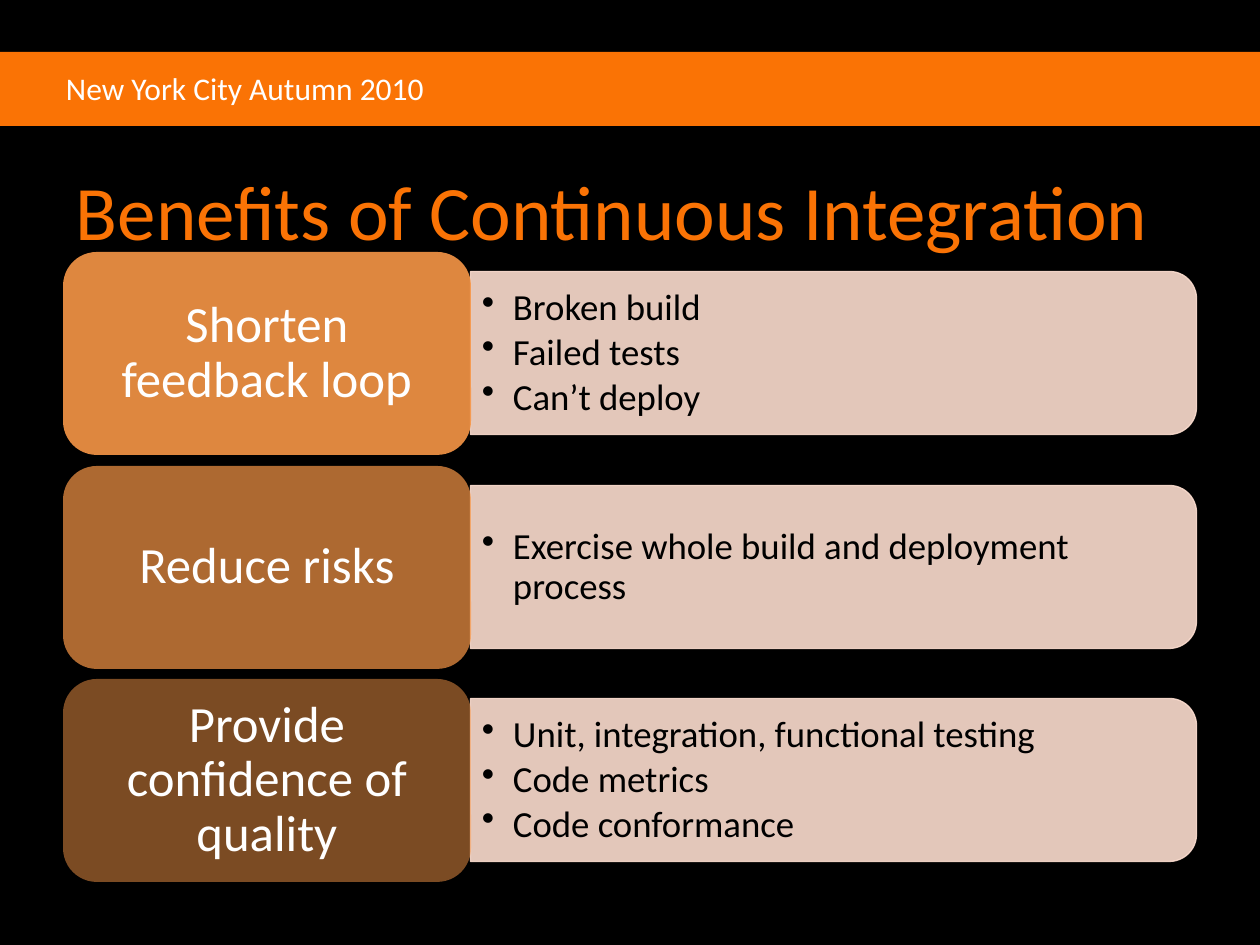
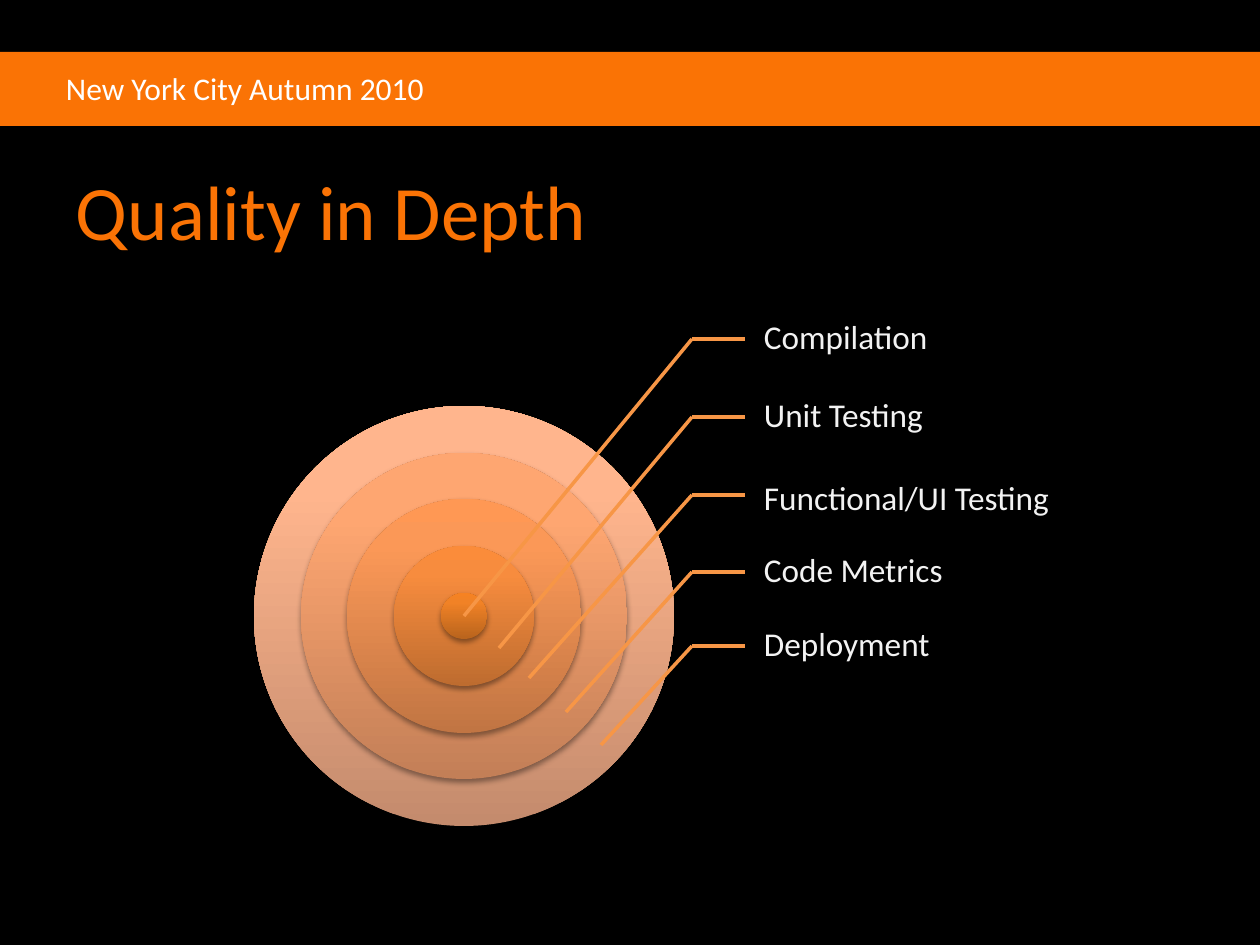
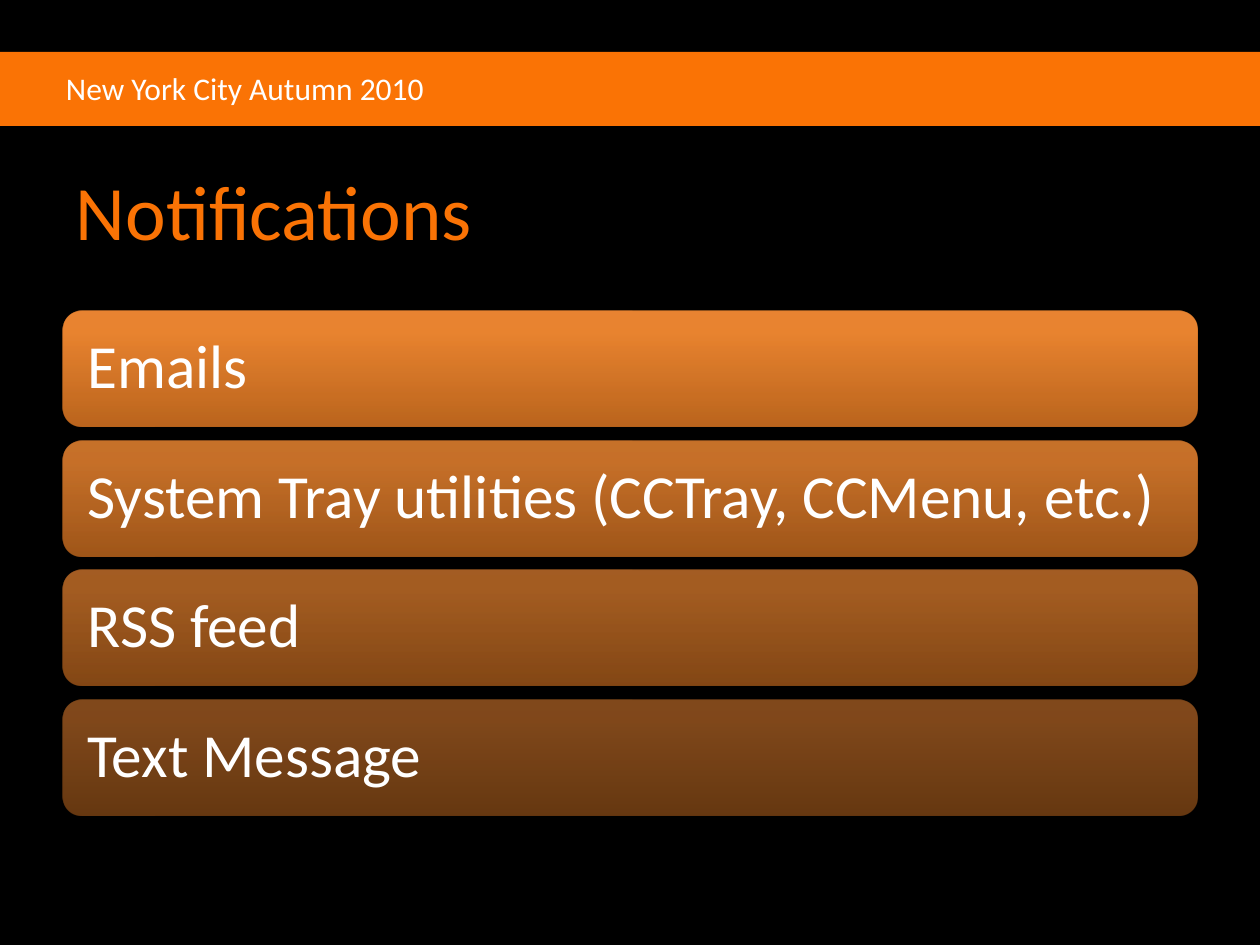
from dataclasses import dataclass
from typing import NamedTuple

from lxml.etree import SubElement
from pptx import Presentation
from pptx.dml.color import RGBColor
from pptx.enum.shapes import MSO_CONNECTOR, MSO_SHAPE
from pptx.enum.text import MSO_ANCHOR, PP_ALIGN
from pptx.oxml.ns import qn
from pptx.util import Emu, Pt

EMU_PER_PIXEL = 914400 / 126


@dataclass(frozen=True)
class Theme:
    """Colours and type sizes shared by all slides."""
    font: str = "Calibri"
    background: str = "000000"
    brand: str = "FA7305"
    white: str = "FFFFFF"
    black: str = "000000"
    caption: str = "F2F2F2"
    accent: str = "F79646"
    panel: str = "FCDDCF"
    bar: tuple = ("CC6E20", "FF9034", "FF9136")
    rings: tuple = (
        ("C48B6D", "FFB58D", "FFB68F"),
        ("C37F57", "FEA671", "FFA672"),
        ("C17543", "FB9857", "FF9854"),
        ("BE6C2F", "F78C3E", "FB8C3A"),
        ("B9641D", "F18226", "F68222"),
    )
    title_size: int = 44
    header_size: int = 18
    benefit_size: int = 29
    detail_size: int = 21
    caption_size: int = 19
    bar_size: int = 35


THEME = Theme()


class Box(NamedTuple):
    """A rectangle in pixels."""
    left: int
    top: int
    width: int
    height: int

    def inner(self, left, top, width, height):
        """Return a box placed relative to this one."""
        return Box(self.left + left, self.top + top, width, height)

    def emu(self):
        """Return the four lengths in EMU."""
        return [px(length) for length in self]


BENEFITS = [
    ("Shorten feedback loop", 90, ["Broken build", "Failed tests", "Can’t deploy"]),
    ("Reduce risks", 70, ["Exercise whole build and deployment process"]),
    ("Provide confidence of quality", 50,
     ["Unit, integration, functional testing", "Code metrics", "Code conformance"]),
]

# Caption, leader top, target point, caption width and caption shift.
QUALITY_LAYERS = [
    ("Compilation", 88, (210, 365), 210, 0),
    ("Unit Testing", 166, (245, 397), 210, 0),
    ("Functional/UI Testing", 244, (275, 427), 315, 5),
    ("Code Metrics", 321, (312, 461), 210, 0),
    ("Deployment", 395, (347, 494), 210, 0),
]

NOTIFICATIONS = [
    ("Emails", 90),
    ("System Tray utilities (CCTray, CCMenu, etc.)", 77),
    ("RSS feed", 63),
    ("Text Message", 50),
]


def px(length):
    """Turn pixels into EMU."""
    return Emu(round(length * EMU_PER_PIXEL))


def spread(count, extent, size):
    """Return the offsets of equal items that fill an extent."""
    return [round(index * (extent - size) / (count - 1)) for index in range(count)]


def add_bullet(paragraph, indent=31):
    """Give a paragraph a hanging bullet."""
    properties = paragraph._p.get_or_add_pPr()
    properties.set("marL", str(px(indent)))
    properties.set("indent", str(-px(indent)))
    SubElement(properties, qn("a:buChar")).set("char", "•")


def write_text(shape, *lines, size, color, align=PP_ALIGN.LEFT, anchor=MSO_ANCHOR.MIDDLE,
               insets=(13, 6, 13, 6), wrap=True, bullets=False, spacing=None, after=0):
    """Write one paragraph per line with the given format."""
    frame = shape.text_frame
    frame.word_wrap = wrap
    frame.vertical_anchor = anchor
    frame.margin_left, frame.margin_top, frame.margin_right, frame.margin_bottom = map(px, insets)
    for index, line in enumerate(lines):
        paragraph = frame.add_paragraph() if index else frame.paragraphs[0]
        if bullets:
            add_bullet(paragraph)
        paragraph.alignment = align
        paragraph.space_after = Pt(after)
        if spacing:
            paragraph.line_spacing = spacing
        run = paragraph.add_run()
        run.text = line
        run.font.name = THEME.font
        run.font.size = Pt(size)
        run.font.color.rgb = RGBColor.from_string(color)


def set_opacity(shape, percent):
    """Set the opacity of every colour in a shape."""
    for color in shape.element.spPr.iter(qn("a:srgbClr")):
        SubElement(color, qn("a:alpha")).set("val", str(percent * 1000))


def set_gradient(shape, colors):
    """Fill a shape with a gradient that runs from bottom to top."""
    shape.fill.gradient()
    shape.fill.gradient_angle = 90
    stops = shape.element.spPr.find(qn("a:gradFill")).find(qn("a:gsLst"))
    for stop in list(stops):
        stops.remove(stop)
    for position, color in zip((0, 80, 100), colors):
        stop = SubElement(stops, qn("a:gs"), pos=str(position * 1000))
        SubElement(stop, qn("a:srgbClr"), val=color)


def add_shadow(shape, opacity, distance):
    """Add a soft black shadow below a shape."""
    effects = shape.element.spPr.find(qn("a:effectLst"))
    shadow = SubElement(effects, qn("a:outerShdw"), blurRad=str(Pt(3.1)), dist=str(Pt(distance)),
                        dir="5400000", rotWithShape="0")
    color = SubElement(shadow, qn("a:srgbClr"), val=THEME.black)
    SubElement(color, qn("a:alpha"), val=str(opacity * 1000))


def add_figure(slide, kind, box, fill=None, gradient=None, line=None, opacity=100):
    """Add a preset shape with its fill and line."""
    shape = slide.shapes.add_shape(kind, *box.emu())
    shape.shadow.inherit = False
    if gradient:
        set_gradient(shape, gradient)
    else:
        shape.fill.solid()
        shape.fill.fore_color.rgb = RGBColor.from_string(fill)
    if line:
        shape.line.color.rgb = RGBColor.from_string(line)
        shape.line.width = Pt(0.75)
    else:
        shape.line.fill.background()
    if opacity < 100:
        set_opacity(shape, opacity)
    return shape


def add_leader(slide, start, end):
    """Add a straight accent line."""
    connector = slide.shapes.add_connector(MSO_CONNECTOR.STRAIGHT, *map(px, (*start, *end)))
    connector.line.color.rgb = RGBColor.from_string(THEME.accent)
    connector.line.width = Pt(2)
    SubElement(connector.element.spPr, qn("a:effectLst"))
    return connector


def add_header(slide, master, box):
    """Put the header band and its text on the slide master."""
    band = add_figure(slide, MSO_SHAPE.RECTANGLE, box, fill=THEME.brand)
    header = slide.shapes.add_textbox(*box.inner(53, 11, 387, 50).emu())
    write_text(header, "New York City Autumn 2010", size=THEME.header_size,
               color=THEME.white, anchor=MSO_ANCHOR.TOP, wrap=False)
    for number, shape in enumerate((band, header), start=101):
        shape.element.nvSpPr.cNvPr.set("id", str(number))
        master.shapes.element.append(shape.element)


def add_title_slide(presentation, title):
    """Add a slide with the shared title style."""
    slide = presentation.slides.add_slide(presentation.slide_layouts[5])
    shape = slide.shapes.title
    shape.left, shape.top, shape.width, shape.height = Box(63, 147, 1134, 126).emu()
    write_text(shape, title, size=THEME.title_size, color=THEME.brand)
    return slide


def add_benefit(slide, box, benefit, opacity, details):
    """Add a benefit label with its panel of details."""
    label_width, margin = 408, 20
    width, height = box.width - label_width, box.height - 2 * margin
    panel = box.inner(label_width, margin, width, height)
    upright = panel.inner((width - height) // 2, (height - width) // 2, height, width)
    shape = add_figure(slide, MSO_SHAPE.ROUND_2_SAME_RECTANGLE, upright,
                       fill=THEME.panel, line=THEME.panel, opacity=90)
    shape.rotation = 90
    text = slide.shapes.add_textbox(*panel.inner(0, 8, width - 8, height - 16).emu())
    write_text(text, *details, size=THEME.detail_size, color=THEME.black,
               insets=(11, 5, 11, 5), bullets=True, spacing=0.9, after=3)
    label = add_figure(slide, MSO_SHAPE.ROUNDED_RECTANGLE, box.inner(0, 0, label_width, box.height),
                       fill=THEME.accent, opacity=opacity)
    write_text(label, benefit, size=THEME.benefit_size, color=THEME.white,
               align=PP_ALIGN.CENTER, insets=(15, 8, 15, 8), spacing=0.9)


def add_benefits(slide, box):
    """Stack the benefits in a box."""
    height = 203
    for top, benefit in zip(spread(len(BENEFITS), box.height, height), BENEFITS):
        add_benefit(slide, box.inner(0, top, box.width, height), *benefit)


def add_rings(slide, box):
    """Draw concentric rings in a square box."""
    steps = 2 * len(THEME.rings) - 1
    for index, colors in enumerate(THEME.rings):
        margin = round(box.width * index / steps)
        side = box.width - 2 * margin
        ring = add_figure(slide, MSO_SHAPE.OVAL, box.inner(margin, margin, side, side),
                          gradient=colors)
        add_shadow(ring, 38, 1.6)


def add_quality_target(slide, box):
    """Draw the rings with a leader and caption for each layer."""
    add_rings(slide, box.inner(0, 155, 420, 420))
    elbow_left, caption_left, caption_height = 438, 491, 74
    for caption, top, target, width, shift in QUALITY_LAYERS:
        caption_top = top + shift - caption_height // 2
        label = slide.shapes.add_textbox(
            *box.inner(caption_left, caption_top, width, caption_height).emu())
        write_text(label, caption, size=THEME.caption_size, color=THEME.caption,
                   insets=(19, 4, 4, 4), spacing=0.9)
        elbow = box.inner(elbow_left, top, 0, 0)[:2]
        leader = add_leader(slide, elbow, box.inner(caption_left, top, 0, 0)[:2])
        if not shift:
            leader.end_connect(label, 1)
        add_leader(slide, elbow, box.inner(*target, 0, 0)[:2])


def add_notifications(slide, box):
    """Stack the notification bars in a box."""
    height = 116
    tops = spread(len(NOTIFICATIONS), box.height, height)
    for top, (notification, opacity) in zip(tops, NOTIFICATIONS):
        bar = add_figure(slide, MSO_SHAPE.ROUNDED_RECTANGLE, box.inner(0, top, box.width, height),
                         gradient=THEME.bar, opacity=opacity)
        add_shadow(bar, 35, 1.8)
        write_text(bar, notification, size=THEME.bar_size, color=THEME.white,
                   insets=(19, 8, 19, 8), spacing=0.9)


def main():
    """Build and save the presentation."""
    presentation = Presentation()
    presentation.slide_width, presentation.slide_height = px(1260), px(945)
    master = presentation.slide_master
    master.background.fill.solid()
    master.background.fill.fore_color.rgb = RGBColor.from_string(THEME.background)

    benefits = add_title_slide(presentation, "Benefits of Continuous Integration")
    add_header(benefits, master, Box(0, 52, 1260, 74))
    add_benefits(benefits, Box(63, 252, 1134, 630))

    quality = add_title_slide(presentation, "Quality in Depth")
    add_quality_target(quality, Box(254, 251, 806, 575))

    notifications = add_title_slide(presentation, "Notifications")
    add_notifications(notifications, Box(63, 311, 1134, 505))
    presentation.save("out.pptx")


if __name__ == "__main__":
    main()
